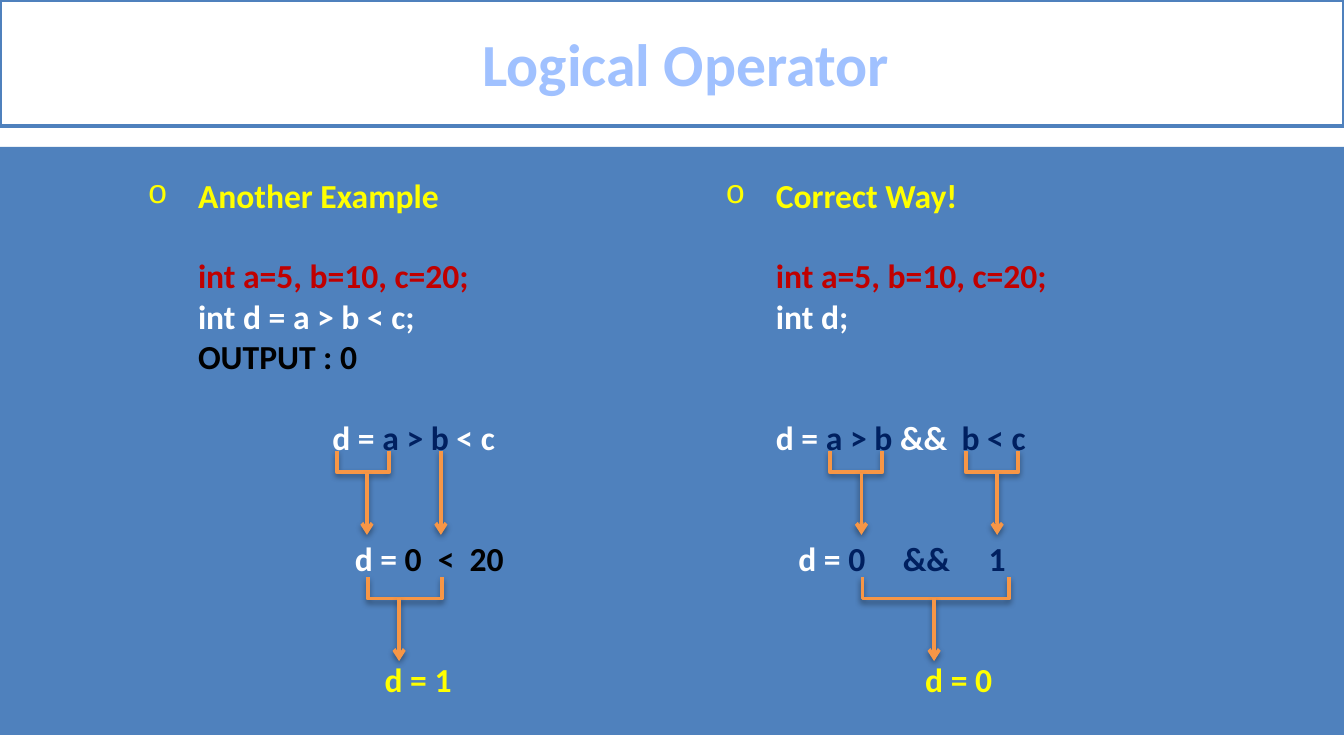
from lxml.etree import SubElement
from pptx import Presentation
from pptx.dml.color import RGBColor
from pptx.enum.shapes import MSO_CONNECTOR, MSO_SHAPE
from pptx.enum.text import MSO_ANCHOR, PP_ALIGN
from pptx.oxml.ns import qn
from pptx.util import Pt

BLUE, WHITE, YELLOW, RED = "4F81BD", "FFFFFF", "FFFF00", "C00000"
NAVY, BLACK, ORANGE, TITLE_BLUE = "002060", "000000", "F79646", "A0C1FF"
FONT = "Calibri"
LINE_HEIGHT = 21.6
CODE_X, BULLET_HANG = 99, 27

# Columns: left edge, then rows of (line number, pieces).
# A piece is (tab position or None to follow on, text, colour).
COLUMNS = [
    (0, [
        (0, [(None, "Another Example", YELLOW)]),
        (2, [(CODE_X, "int a=5, b=10, c=20;", RED)]),
        (3, [(CODE_X, "int d = a > b < c;", WHITE)]),
        (4, [(CODE_X, "OUTPUT : 0", BLACK)]),
        (6, [(171, "d = ", WHITE), (None, "a > b ", NAVY), (None, "< c", WHITE)]),
        (9, [(183, "d = ", WHITE), (None, "0", BLACK), (227.5, "<", BLACK),
             (244.5, "20", BLACK)]),
        (12, [(199, "d = 1", YELLOW)]),
    ]),
    (309.6, [
        (0, [(None, "Correct Way!", YELLOW)]),
        (2, [(CODE_X, "int a=5, b=10, c=20;", RED)]),
        (3, [(CODE_X, "int d;", WHITE)]),
        (6, [(CODE_X, "d = ", WHITE), (None, "a > b ", NAVY), (None, "&&", WHITE),
             (198.5, "b < c", NAVY)]),
        (9, [(111, "d = ", WHITE), (None, "0", NAVY), (167, "&&", NAVY),
             (213, "1", NAVY)]),
        (12, [(179, "d = 0", YELLOW)]),
    ]),
]

# Evaluation steps: bracket top, arrow start and arrow end
FIRST_STEP, SECOND_STEP = (241.5, 253.4, 286.6), (309.2, 320.4, 354.2)
BRACKET_HEIGHT = 11.5
# (step, bracket left, bracket width, arrow x)
GROUPS = [
    (FIRST_STEP, 180.4, 28, 196.6),
    (SECOND_STEP, 197, 39.6, 213.8),
    (FIRST_STEP, 444.6, 28, 461.5),
    (FIRST_STEP, 517.4, 28, 534.2),
    (SECOND_STEP, 462, 78.5, 500.4),
]
CARRIED_DOWN_X = 236.2


def rgb(value):
    return RGBColor.from_string(value)


def style(run, size, colour):
    run.font.name, run.font.size, run.font.bold = FONT, Pt(size), True
    run.font.color.rgb = rgb(colour)


def add_band(top, height, fill, outline=None):
    band = slide.shapes.add_shape(MSO_SHAPE.RECTANGLE, 0, Pt(top), Pt(720), Pt(height))
    band.shadow.inherit = False
    band.fill.solid()
    band.fill.fore_color.rgb = rgb(fill)
    if outline:
        band.line.color.rgb, band.line.width = rgb(outline), Pt(2)
    else:
        band.line.fill.background()
    return band


def draw_orange(mark):
    """Orange line with a soft shadow below."""
    mark.line.color.rgb, mark.line.width = rgb(ORANGE), Pt(2)
    effects = SubElement(mark._element.spPr, qn("a:effectLst"))
    shadow = SubElement(effects, qn("a:outerShdw"), blurRad="40000", dist="20000",
                        dir="5400000", rotWithShape="0")
    tint = SubElement(shadow, qn("a:srgbClr"), val=BLACK)
    SubElement(tint, qn("a:alpha"), val="38000")


def add_arrow(x, start, end):
    arrow = slide.shapes.add_connector(MSO_CONNECTOR.STRAIGHT, Pt(x), Pt(start), Pt(x), Pt(end))
    draw_orange(arrow)
    SubElement(arrow._element.spPr.find(qn("a:ln")), qn("a:tailEnd"), type="arrow")


def add_bracket(left, top, width):
    # Turned by 90 degrees, so width and height change places around the centre
    shift = (width - BRACKET_HEIGHT) / 2
    bracket = slide.shapes.add_shape(MSO_SHAPE.RIGHT_BRACKET, Pt(left + shift), Pt(top - shift),
                                     Pt(BRACKET_HEIGHT), Pt(width))
    bracket.rotation = 90
    bracket.adjustments[0] = 0
    bracket.fill.background()
    draw_orange(bracket)


def add_column(left, rows):
    column = slide.shapes.add_textbox(Pt(left), Pt(90), Pt(343.4), Pt(300)).text_frame
    column.word_wrap = True
    previous = -1
    for number, pieces in rows:
        paragraph = column.paragraphs[0] if number == 0 else column.add_paragraph()
        layout = paragraph._p.get_or_add_pPr()
        if number == 0:
            layout.set("marL", str(Pt(CODE_X)))
            layout.set("indent", str(-Pt(BULLET_HANG)))
            SubElement(layout, qn("a:buFont"), typeface="Courier New")
            SubElement(layout, qn("a:buChar"), char="o")
        else:
            tabs = SubElement(layout, qn("a:tabLst"))
            for x in [piece[0] for piece in pieces if piece[0]]:
                SubElement(tabs, qn("a:tab"), pos=str(Pt(x)), algn="l")
            paragraph.space_before = Pt((number - previous - 1) * LINE_HEIGHT)
        paragraph.line_spacing = Pt(LINE_HEIGHT)
        for x, text, colour in pieces:
            run = paragraph.add_run()
            run.text = "\t" + text if x else text
            style(run, 18, colour)
        previous = number


presentation = Presentation()
presentation.slide_width, presentation.slide_height = Pt(720), Pt(405)
slide = presentation.slides.add_slide(presentation.slide_layouts[6])

# Background panel and title
add_band(78.7, 315, BLUE)
title = add_band(0, 67.5, WHITE, BLUE).text_frame
title.text = "Logical Operator"
title.margin_left = Pt(22)
title.vertical_anchor = MSO_ANCHOR.MIDDLE
title.paragraphs[0].alignment = PP_ALIGN.CENTER
style(title.paragraphs[0].runs[0], 32, TITLE_BLUE)

# Code columns
for left, rows in COLUMNS:
    add_column(left, rows)

# Brackets and arrows
for (top, start, end), left, width, arrow_x in GROUPS:
    add_bracket(left, top, width)
    add_arrow(arrow_x, start, end)
add_arrow(CARRIED_DOWN_X, FIRST_STEP[0], FIRST_STEP[2])

presentation.save("out.pptx")
